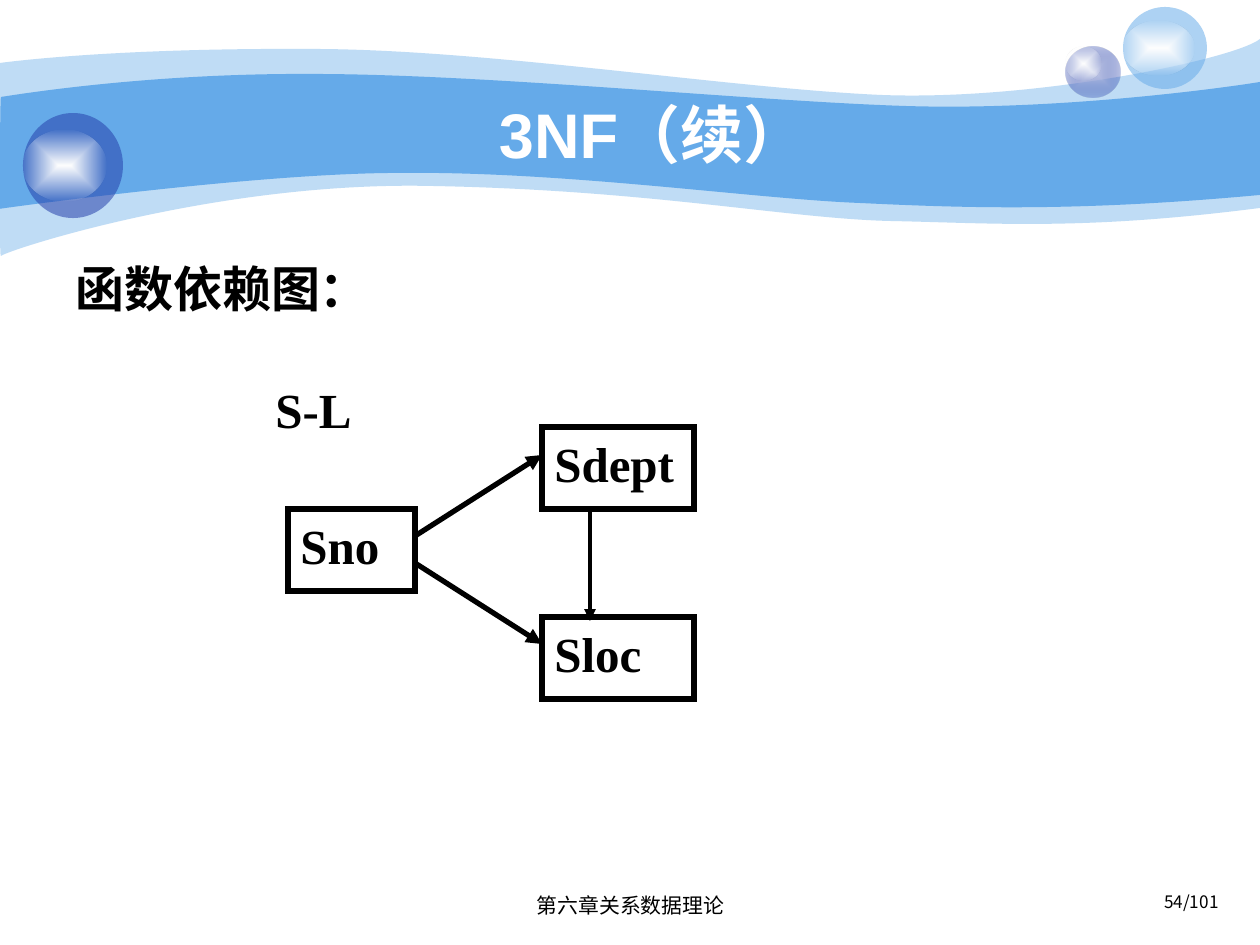
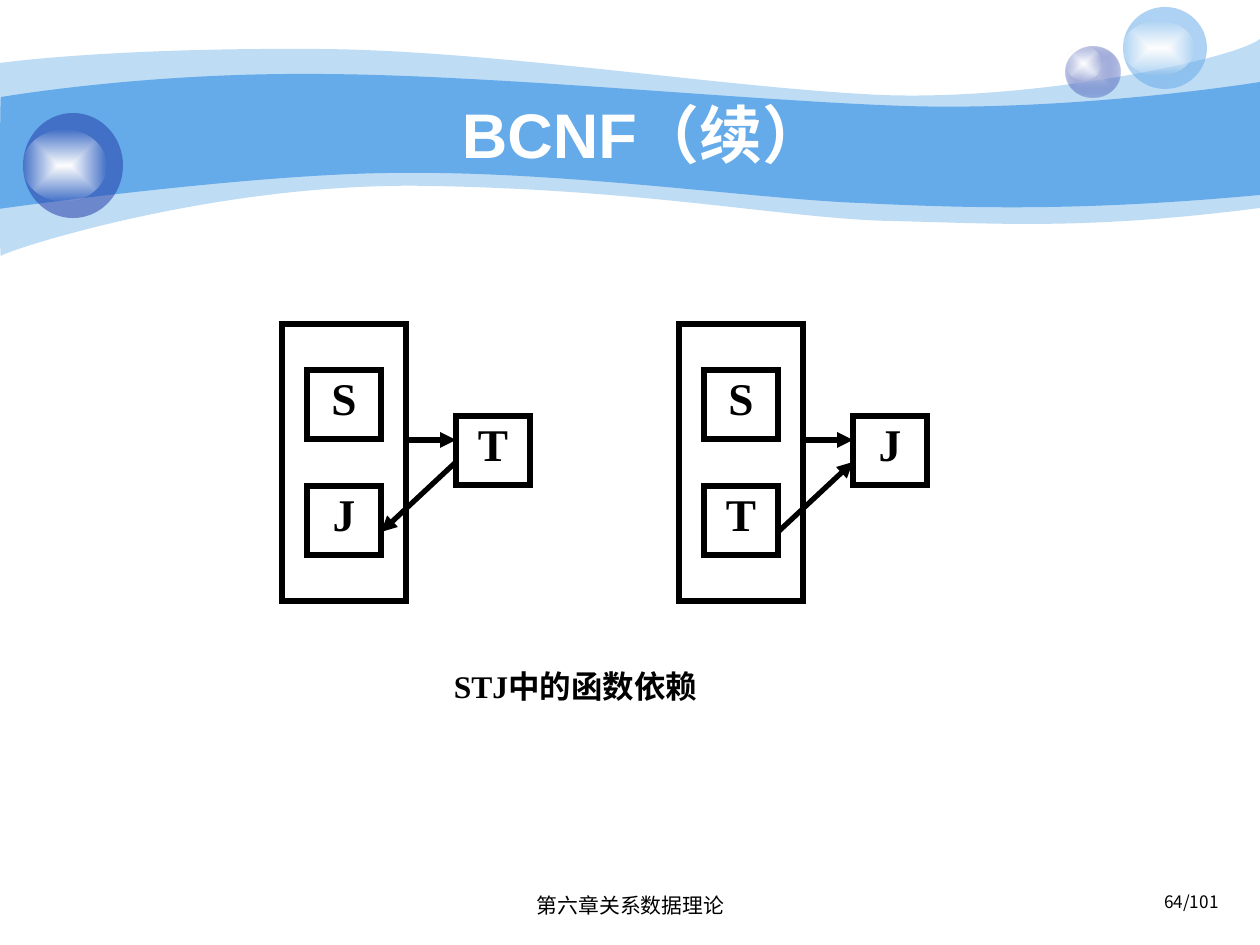
from lxml.etree import SubElement
from pptx import Presentation
from pptx.dml.color import RGBColor
from pptx.enum.shapes import MSO_CONNECTOR, MSO_SHAPE
from pptx.enum.text import MSO_ANCHOR, PP_ALIGN
from pptx.oxml import parse_xml
from pptx.oxml.ns import nsdecls, qn
from pptx.util import Emu, Pt

SCALE = 914400 / 126
BLACK, WHITE, SKY, NAVY, PALE = "000000", "FFFFFF", "65AAE9", "233DA9", "C7CEE9"
SANS, SERIF, HAN = "Arial", "Times New Roman", "Noto Sans CJK SC"
GLOW = [(WHITE, 100), (WHITE, 0)]

OUTER = (
    [(0, 63), (30, 59), (135, 48), (311, 49), (486, 49), (725, 88), (881, 95),
     (1036, 101), (1235, 59), (1260, 39)],
    [(1260, 208), (1081, 231), (992, 223), (888, 221), (784, 218), (649, 190),
     (432, 186), (217, 181), (5, 251), (1, 256), (-1, 262), (0, 94), (0, 63)])
INNER = (
    [(1, 97), (3, 97), (139, 73), (312, 74), (486, 74), (750, 101), (905, 106),
     (1060, 111), (1230, 87), (1260, 82)],
    [(1260, 195), (1075, 212), (964, 208), (859, 203), (755, 199), (563, 171),
     (399, 173), (256, 173), (-3, 209), (-1, 209), (0, 209), (0, 97), (1, 97)])
ORBS = [
    ((1066, 47, 54, 51), [(PALE, 100), (NAVY, 31)]),
    ((1066, 47, 35, 34), GLOW),
    ((1123, 7, 84, 82), [(SKY, 53)]),
    ((1123, 21, 71, 54), GLOW),
    ((23, 113, 100, 105), [(NAVY, 53)]),
    ((23, 130, 83, 71), GLOW),
]


def px(size):
    """Turn pixels into EMU."""
    return Emu(round(size * SCALE))


def hue(code):
    """Turn a hex string into a colour."""
    return RGBColor.from_string(code)


def paint(shape, stops):
    """Fill a shape with one see-through colour, or with a glow of several."""
    tints = [f'<a:srgbClr val="{hue(code)}"><a:alpha val="{alpha * 1000}"/></a:srgbClr>'
             for code, alpha in stops]
    if len(tints) == 1:
        xml = f'<a:solidFill {nsdecls("a")}>{tints[0]}</a:solidFill>'
    else:
        marks = "".join(f'<a:gs pos="{spot}">{tint}</a:gs>'
                        for spot, tint in zip((0, 100000), tints))
        xml = (f'<a:gradFill {nsdecls("a")}><a:gsLst>{marks}</a:gsLst><a:path path="rect">'
               '<a:fillToRect l="50000" t="50000" r="50000" b="50000"/>'
               '</a:path></a:gradFill>')
    shape.shadow.inherit = False
    shape.line.fill.background()
    shape.fill.solid()
    props = shape._element.spPr
    props.replace(props.find(qn("a:solidFill")), parse_xml(xml))


def bend(legs):
    """Join straight legs, three at a time, into cubic curves."""
    for i in range(0, len(legs), 3):
        first, *rest = legs[i:i + 3]
        first.tag = qn("a:cubicBezTo")
        for leg in rest:
            first.append(leg[0])
            leg.getparent().remove(leg)


def wave(slide, edges, alpha):
    """Draw a wavy band from its upper and lower edges."""
    over, under = edges
    points = [tuple(map(px, point)) for point in over + under]
    pen = slide.shapes.build_freeform(*points[0], scale=1.0)
    pen.add_line_segments(points[1:])
    shape = pen.convert_to_shape()
    legs = list(shape._element.iter(qn("a:lnTo")))
    bend(legs[:len(over) - 1])
    bend(legs[len(over):len(points) - 1])
    paint(shape, [(SKY, alpha)])


def write(shape, text, size, font=SERIF, color=BLACK, bold=True,
          align=PP_ALIGN.LEFT, space=1.0, anchor=MSO_ANCHOR.TOP):
    """Put one styled run into a shape."""
    frame = shape.text_frame
    frame.word_wrap = True
    frame.vertical_anchor = anchor
    para = frame.paragraphs[0]
    para.alignment, para.line_spacing = align, space
    run = para.add_run()
    run.text = text
    run.font.name, run.font.size, run.font.bold = font, Pt(size), bold
    run.font.color.rgb = hue(color)
    SubElement(run.font._element, qn("a:ea")).set("typeface", HAN)


def label(slide, area, text, size, **style):
    """Add a text box."""
    write(slide.shapes.add_textbox(*map(px, area)), text, size, **style)


def stroke(shape, width=3):
    """Give a shape a black line with sharp corners."""
    shape.line.color.rgb = hue(BLACK)
    shape.line.width = Pt(width)
    line = shape._element.spPr.find(qn("a:ln"))
    SubElement(line, qn("a:miter")).set("lim", "800000")
    return line


def box(slide, area, text="", size=28, **style):
    """Add an outlined box, with text if given."""
    shape = slide.shapes.add_shape(MSO_SHAPE.RECTANGLE, *map(px, area))
    shape.shadow.inherit = False
    shape.fill.background()
    stroke(shape)
    if text:
        write(shape, text, size, **style)


def arrow(slide, start, end, width=3):
    """Draw an arrow from start to end."""
    link = slide.shapes.add_connector(MSO_CONNECTOR.STRAIGHT, *map(px, start + end))
    SubElement(stroke(link, width), qn("a:tailEnd")).set("type", "triangle")
    SubElement(link._element.spPr, qn("a:effectLst"))


def page(deck, title, nudge, number):
    """Add a slide with bands, orbs, footer and title."""
    slide = deck.slides.add_slide(deck.slide_layouts[6])
    wave(slide, OUTER, 41)
    wave(slide, INNER, 100)
    for area, stops in ORBS:
        paint(slide.shapes.add_shape(MSO_SHAPE.OVAL, *map(px, area)), stops)
    label(slide, (937, 889, 294, 37), f"{number}/101", 9.8, font=HAN, bold=False,
          align=PP_ALIGN.RIGHT, space=0.8)
    label(slide, (431, 889, 399, 40), "第六章关系数据理论", 11.9, font=SANS, bold=False,
          align=PP_ALIGN.CENTER, space=0.9)
    label(slide, (126 + nudge, 94, 1018, 78), title, 36, font=SANS, color=WHITE,
          align=PP_ALIGN.CENTER, anchor=MSO_ANCHOR.MIDDLE)
    return slide


def group(slide, left, low, side, back):
    """Draw a key pair, the column it fixes, and the arrows between."""
    box(slide, (left, 324, 124, 277))
    for x, y, name in ((25, 370, "S"), (25, 486, low), (174, 416, side)):
        box(slide, (left + x, y, 74, 69), name, 25.9, align=PP_ALIGN.CENTER, space=0.9)
    arrow(slide, (left + 124, 440), (left + 174, 440))
    ends = [(left + 99, 532), (left + 174, 462)]
    arrow(slide, *(reversed(ends) if back else ends))


def third(deck):
    """Build the 3NF slide."""
    slide = page(deck, "3NF（续）", 18, 54)
    label(slide, (63, 252, 1134, 620), "函数依赖图：", 28, font=SANS)
    label(slide, (263, 373, 152, 82), "S-L", 28)
    box(slide, (288, 509, 127, 82), "Sno")
    for top, name in ((427, "Sdept"), (617, "Sloc")):
        box(slide, (542, top, 152, 82), name)
    arrow(slide, (415, 536), (542, 455))
    arrow(slide, (415, 563), (542, 644))
    arrow(slide, (590, 512), (590, 621), 2.25)


def boyce(deck):
    """Build the BCNF slide."""
    slide = page(deck, "BCNF（续）", 9, 64)
    group(slide, 282, "J", "T", True)
    group(slide, 679, "T", "J", False)
    label(slide, (432, 661, 287, 69), "STJ中的函数依赖", 18, align=PP_ALIGN.CENTER)


def main():
    """Build and save the deck."""
    deck = Presentation()
    deck.slide_width, deck.slide_height = px(1260), px(945)
    third(deck)
    boyce(deck)
    deck.save("out.pptx")


if __name__ == "__main__":
    main()
